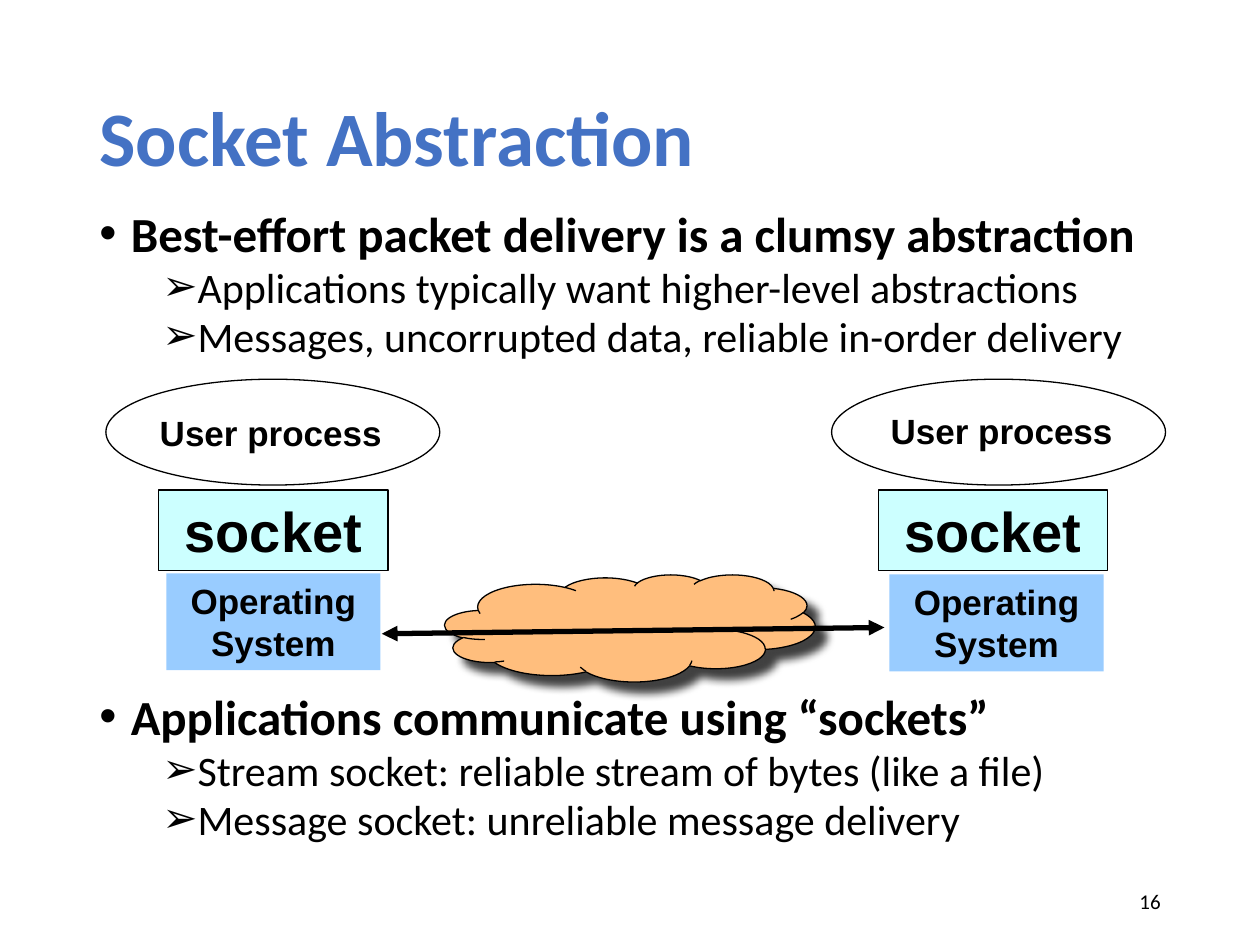
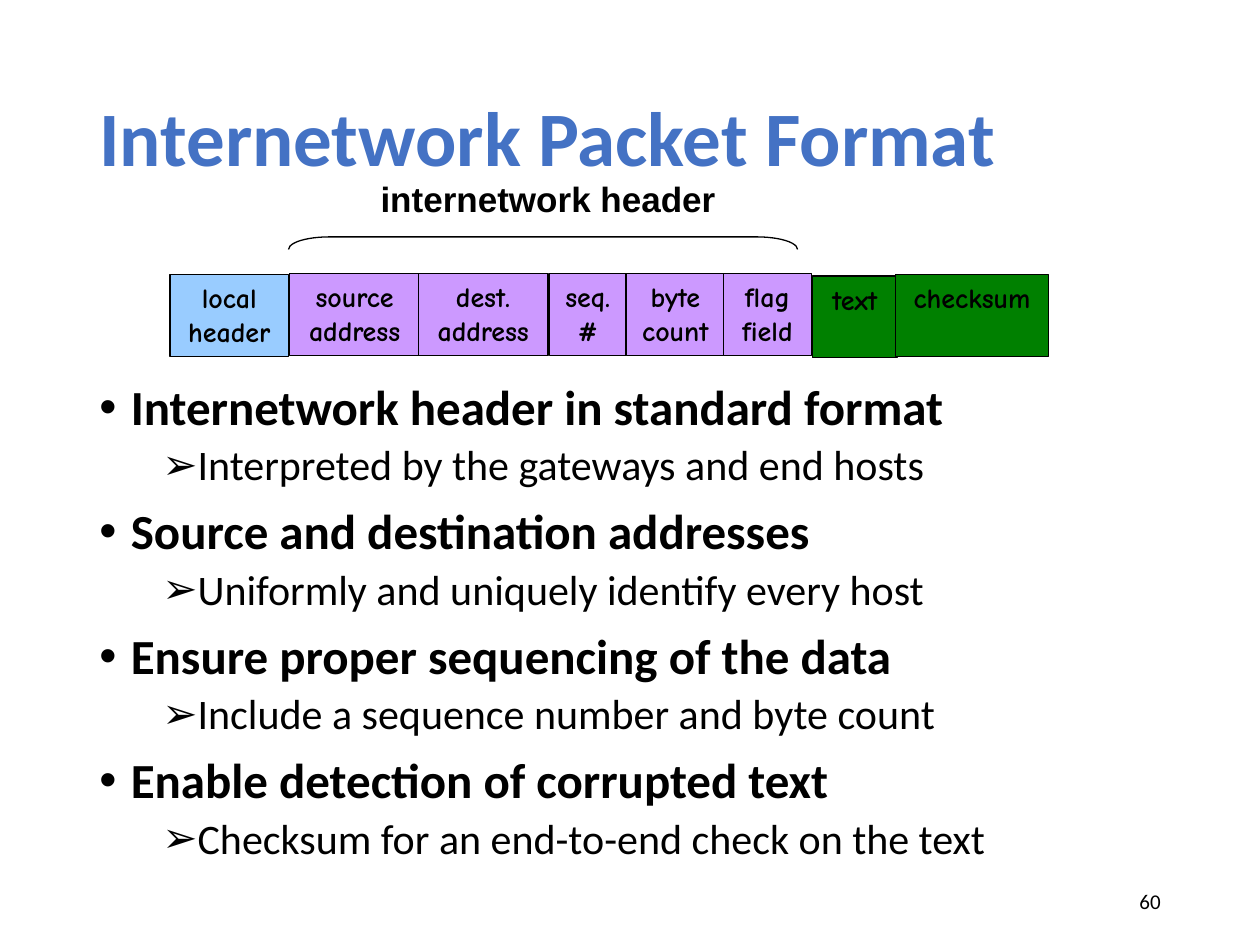
from dataclasses import dataclass

from lxml.etree import SubElement as Sub
from pptx import Presentation
from pptx.dml.color import RGBColor as Rgb
from pptx.enum.shapes import MSO_CONNECTOR as Link, MSO_SHAPE as Form
from pptx.enum.text import MSO_ANCHOR as Anchor, PP_ALIGN as Align
from pptx.oxml.ns import qn
from pptx.util import Inches, Pt


@dataclass(frozen=True)
class Theme:
    # Colours
    ink: str = "000000"
    head: str = "4472C4"
    aqua: str = "CCFFFF"
    sky: str = "99CCFF"
    peach: str = "FFBE7D"
    violet: str = "CC99FF"
    green: str = "008000"
    # Fonts
    main: str = "Calibri"
    sans: str = "Arial"
    comic: str = "Comic Neue"
    # Type sizes and line width, in points
    title: int = 44
    point: int = 28
    sub: int = 24
    big: int = 32
    label: int = 20
    cell: int = 16
    foot: int = 12
    thin: float = 0.75


class Deck:
    def __init__(self, theme):
        self.theme = theme
        self.prs = Presentation()
        self.prs.slide_width, self.prs.slide_height = Inches(10), Inches(7.5)
        self.slide = None

    def page(self, title, number):
        """Start a slide with its title and page number."""
        t = self.theme
        self.slide = self.prs.slides.add_slide(self.prs.slide_layouts[6])
        box = self.text(title, (0.69, 0.4, 8.62, 1.45), t.main, t.title,
                        color=t.head, align=Align.LEFT, anchor=Anchor.MIDDLE, wrap=True)
        box.text_frame.paragraphs[0].line_spacing = 0.9
        self.text(str(number), (7.06, 6.95, 2.25, 0.4), t.main, t.foot, bold=False,
                  align=Align.RIGHT, anchor=Anchor.MIDDLE, wrap=True)

    def label(self, shape, words, font, size, color=None, bold=True,
              align=Align.CENTER, anchor=Anchor.TOP, wrap=False):
        frame = shape.text_frame
        frame.text = words
        frame.word_wrap = wrap
        frame.vertical_anchor = anchor
        for para in frame.paragraphs:
            para.alignment = align
            self.style(para, font, size, bold, color)

    def style(self, para, font, size, bold, color=None):
        for run in para.runs:
            run.font.name, run.font.size, run.font.bold = font, Pt(size), bold
            run.font.color.rgb = Rgb.from_string(color or self.theme.ink)

    def text(self, words, spot, font, size, **look):
        box = self.slide.shapes.add_textbox(*map(Inches, spot))
        self.label(box, words, font, size, **look)
        return box

    def shape(self, form, spot, fill=None, edge=True):
        item = self.slide.shapes.add_shape(form, *map(Inches, spot))
        item.shadow.inherit = False
        if fill:
            item.fill.solid()
            item.fill.fore_color.rgb = Rgb.from_string(fill)
        else:
            item.fill.background()
        if edge:
            item.line.color.rgb = Rgb.from_string(self.theme.ink)
            item.line.width = Pt(self.theme.thin)
        else:
            item.line.fill.background()
        return item

    def block(self, words, spot, fill, font, size, edge=True):
        self.label(self.shape(Form.RECTANGLE, spot, fill, edge), words, font, size)

    def points(self, groups, spot, pitch, gap=10):
        """Bulleted heads with sub-points; gap is the space above later heads."""
        t = self.theme
        rows = [(line, int(n > 0)) for group in groups for n, line in enumerate(group)]
        box = self.slide.shapes.add_textbox(*map(Inches, spot))
        frame = box.text_frame
        frame.word_wrap = True
        frame.text = "\n".join(line for line, _ in rows)
        for n, (para, (_, level)) in enumerate(zip(frame.paragraphs, rows)):
            para.level = level
            para.line_spacing = pitch
            para.space_before = Pt(5 if level else gap if n else 10)
            self.style(para, t.main, t.sub if level else t.point, not level)
            props = para._p.get_or_add_pPr()
            props.set("marL", str(Inches(0.75 if level else 0.25)))
            props.set("indent", str(Inches(-0.25)))
            Sub(props, qn("a:buFont"), typeface=t.sans)
            Sub(props, qn("a:buChar"), char="➢" if level else "•")

    def cloud(self, spot):
        item = self.shape(Form.CLOUD, spot, self.theme.peach)
        effects = item._element.spPr.find(qn("a:effectLst"))
        cast = Sub(effects, qn("a:outerShdw"), blurRad=str(Pt(5)), dist=str(Pt(8.5)),
                   dir=str(45 * 60000), algn="tl", rotWithShape="0")
        tint = Sub(cast, qn("a:srgbClr"), val=self.theme.ink)
        Sub(tint, qn("a:alpha"), val="75000")

    def arrow(self, start, end):
        line = self.slide.shapes.add_connector(Link.STRAIGHT, *map(Inches, start + end))
        line.line.color.rgb = Rgb.from_string(self.theme.ink)
        line.line.width = Pt(3)
        props = line._element.spPr
        for tip in ("a:headEnd", "a:tailEnd"):
            Sub(props.find(qn("a:ln")), qn(tip), type="triangle")
        Sub(props, qn("a:effectLst"))

    def brace(self, spot):
        item = self.shape(Form.RIGHT_BRACKET, spot)
        item.rotation = 270
        item.adjustments[0] = 3.235


def sockets(deck):
    t = deck.theme
    deck.page("Socket Abstraction", 16)
    deck.points([
        ("Best-effort packet delivery is a clumsy abstraction",
         "Applications typically want higher-level abstractions",
         "Messages, uncorrupted data, reliable in-order delivery"),
        ("Applications communicate using “sockets”",
         "Stream socket: reliable stream of bytes (like a file)",
         "Message socket: unreliable message delivery"),
    ], (0.69, 1.66, 8.62, 5.34), 0.8, gap=193)

    # Two hosts: left edges of process and socket, corners of name and system
    hosts = [(0.84, 1.26, (1.05, 3.22), (1.32, 4.55)),
             (6.6, 6.97, (6.85, 3.2), (7.06, 4.56))]
    for oval, plug, name, system in hosts:
        deck.shape(Form.OVAL, (oval, 3.01, 2.65, 0.84))
        deck.block("socket", (plug, 3.89, 1.82, 0.64), t.aqua, t.sans, t.big)
        deck.text("User process", name + (2.2, 0.43), t.sans, t.label)
        deck.block("Operating\nSystem", system + (1.7, 0.77), t.sky,
                   t.sans, t.label, edge=False)

    # Network between the hosts
    deck.cloud((3.53, 4.56, 2.94, 0.85))
    deck.arrow((3.03, 5.03), (7.02, 4.98))


def packet(deck):
    t = deck.theme
    deck.page("Internetwork Packet Format", 60)
    deck.points([
        ("Internetwork header in standard format",
         "Interpreted by the gateways and end hosts"),
        ("Source and destination addresses",
         "Uniformly and uniquely identify every host"),
        ("Ensure proper sequencing of the data",
         "Include a sequence number and byte count"),
        ("Enable detection of corrupted text",
         "Checksum for an end-to-end check on the text"),
    ], (0.69, 2.99, 8.62, 4.09), 0.9)

    # Packet fields: words, left, top, width, fill
    fields = [
        ("local\nheader", 1.35, 2.18, 0.94, t.sky),
        ("text", 6.45, 2.19, 0.67, t.green),
        ("checksum", 7.11, 2.18, 1.21, t.green),
        ("source\naddress", 2.3, 2.17, 1.03, t.violet),
        ("dest.\naddress", 3.32, 2.17, 1.03, t.violet),
        ("seq.\n#", 4.36, 2.17, 0.61, t.violet),
        ("byte\ncount", 4.97, 2.17, 0.78, t.violet),
        ("flag\nfield", 5.74, 2.17, 0.7, t.violet),
    ]
    for words, left, top, width, fill in fields:
        deck.block(words, (left, top, width, 0.65), fill, t.comic, t.cell)

    # Bracket over the header fields
    deck.brace((4.26, -0.09, 0.1, 4.04))
    deck.text("internetwork header", (2.69, 1.36, 3.32, 0.57), t.sans, t.label)


def main():
    deck = Deck(Theme())
    sockets(deck)
    packet(deck)
    deck.prs.save("out.pptx")


if __name__ == "__main__":
    main()
